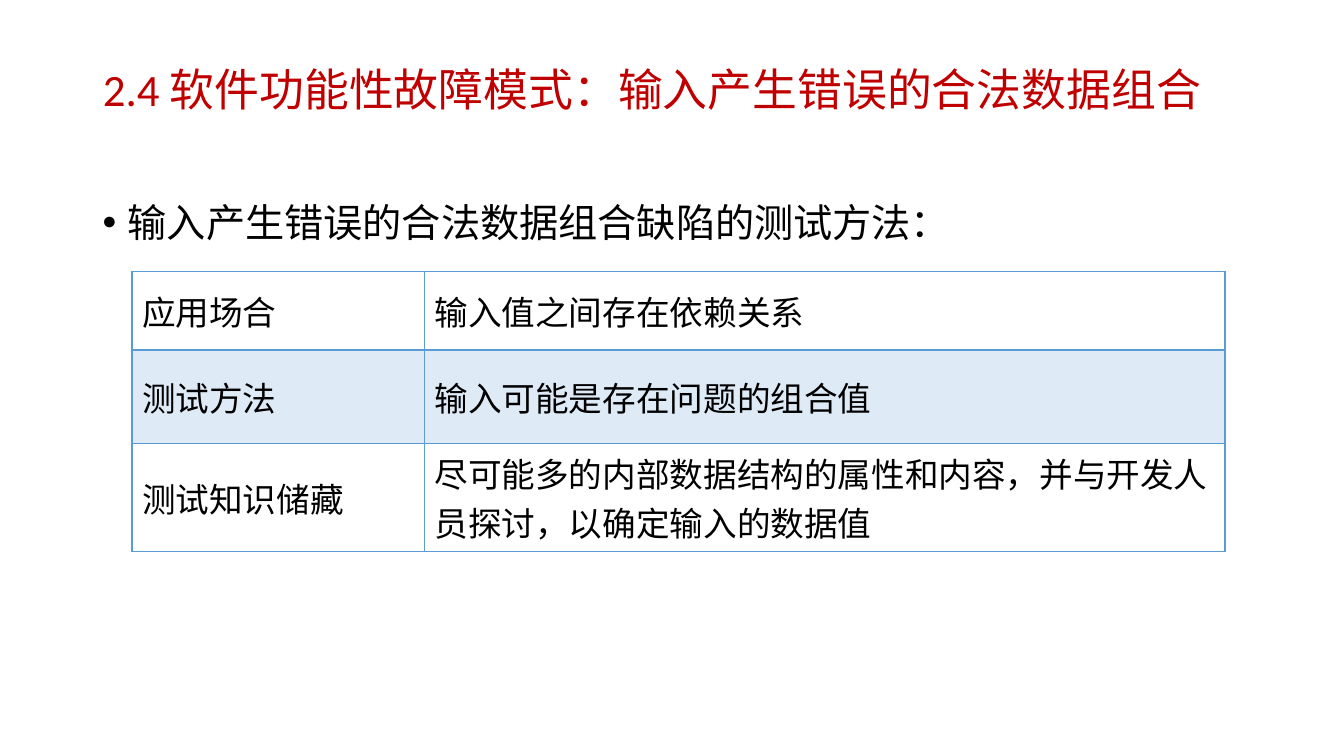
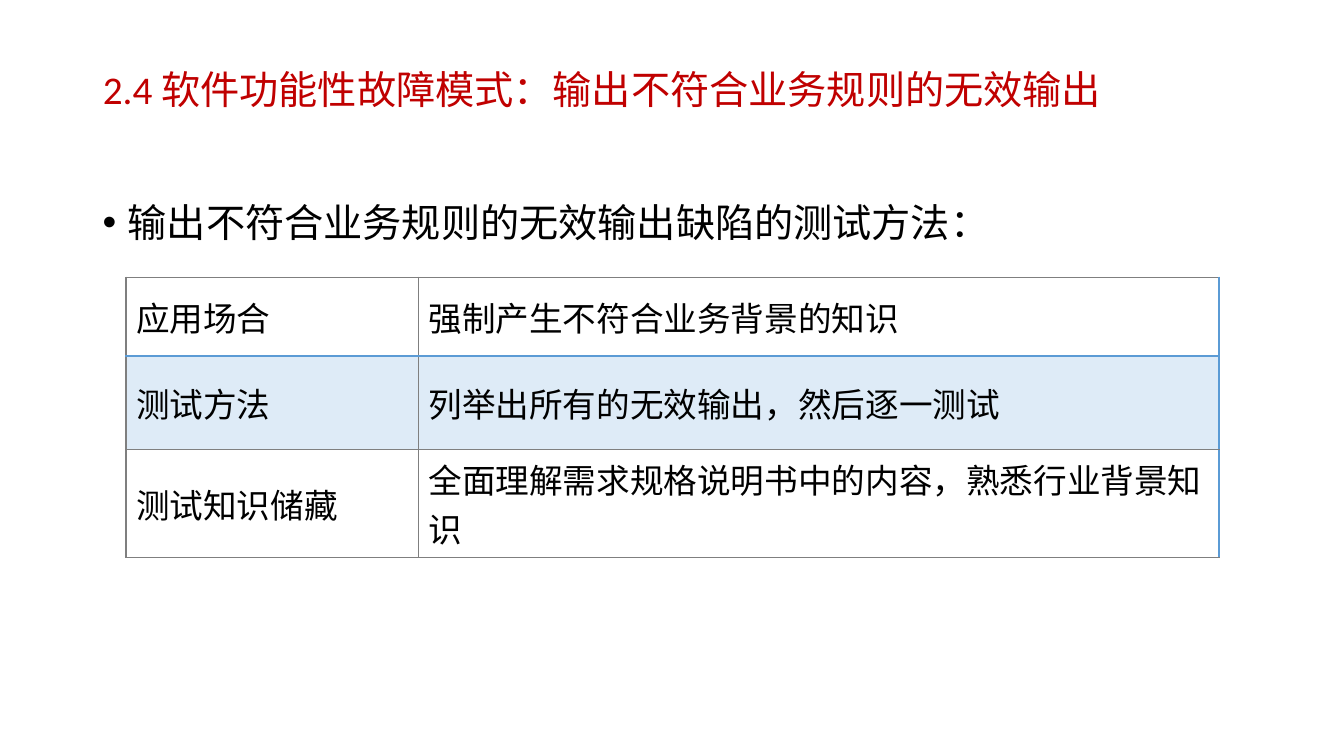
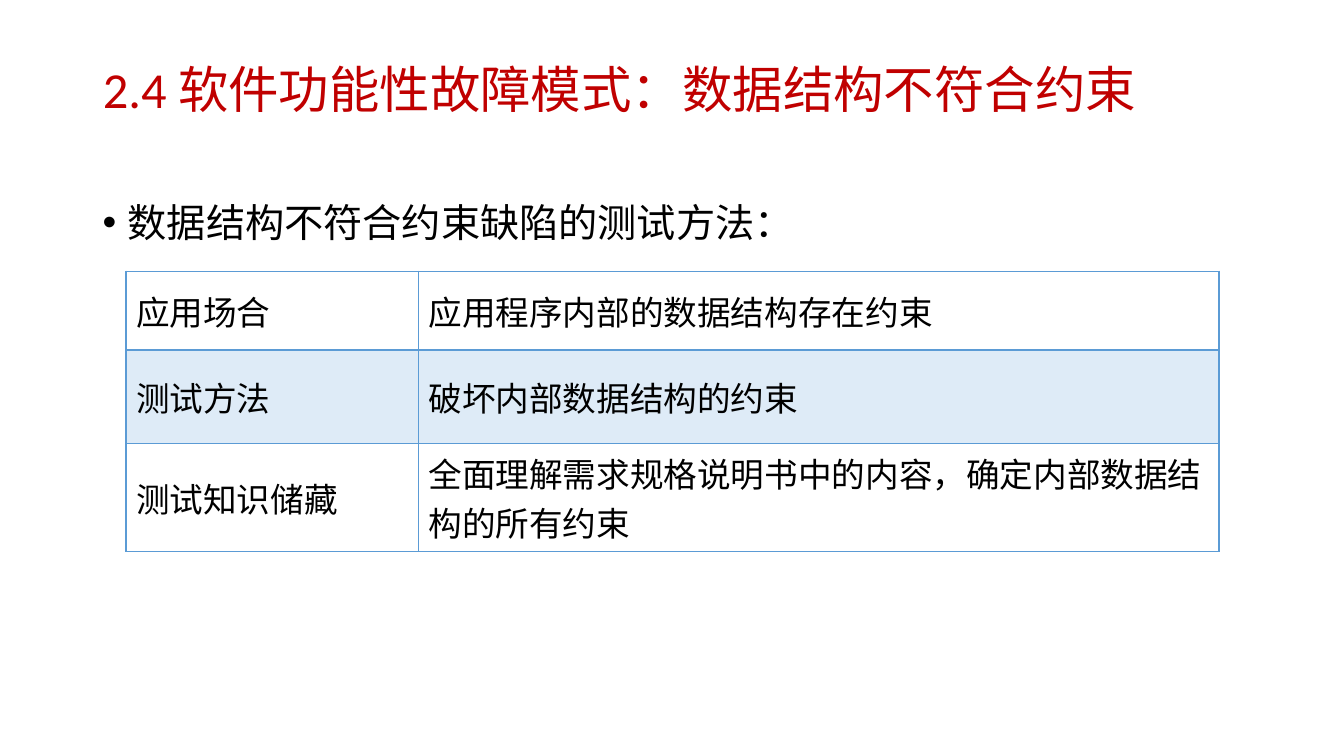
from lxml.etree import SubElement
from pptx import Presentation
from pptx.dml.color import RGBColor
from pptx.enum.text import MSO_ANCHOR as Anchor, MSO_AUTO_SIZE as AutoSize, PP_ALIGN as Align
from pptx.oxml import parse_xml
from pptx.oxml.ns import nsdecls, qn
from pptx.util import Inches, Pt

COLORS = {"title": "C00000", "text": "000000", "line": "5B9BD5",
          "gray": "7F7F7F", "band": "DEEBF7"}
CJK = "Noto Sans CJK SC"
LABELS = ["应用场合", "测试方法", "测试知识储藏"]
COLUMN_WIDTHS = [2.9, 7.94]
ROW_HEIGHTS = [0.78, 0.93, 1.07]

TOPICS = [
    {"name": "输入产生错误的合法数据组合", "title_size": 32,
     "left": 1.31, "top": 2.69, "grid": "line",
     "details": ["输入值之间存在依赖关系",
                 "输入可能是存在问题的组合值",
                 "尽可能多的内部数据结构的属性和内容，并与开发人员探讨，以确定输入的数据值"]},
    {"name": "输出不符合业务规则的无效输出", "title_size": 28,
     "left": 1.25, "top": 2.75, "grid": "gray",
     "details": ["强制产生不符合业务背景的知识",
                 "列举出所有的无效输出，然后逐一测试",
                 "全面理解需求规格说明书中的内容，熟悉行业背景知识"]},
    {"name": "数据结构不符合约束", "title_size": 36,
     "left": 1.25, "top": 2.69, "grid": "line",
     "details": ["应用程序内部的数据结构存在约束",
                 "破坏内部数据结构的约束",
                 "全面理解需求规格说明书中的内容，确定内部数据结构的所有约束"]},
]


def style_text(paragraph, size, color, latin=CJK):
    paragraph.alignment = Align.LEFT
    font = paragraph.font
    font.size = Pt(size)
    font.name = latin
    font.color.rgb = RGBColor.from_string(COLORS[color])
    defaults = paragraph._p.pPr.find(qn("a:defRPr"))
    SubElement(defaults, qn("a:ea")).set("typeface", CJK)


def set_borders(cell, borders):
    properties = cell._tc.get_or_add_tcPr()
    for position, (side, color, width) in enumerate(borders):
        properties.insert(position, parse_xml(
            f'<a:ln{side} {nsdecls("a")} w="{Pt(width)}"><a:solidFill>'
            f'<a:srgbClr val="{COLORS[color]}"/></a:solidFill></a:ln{side}>'))


prs = Presentation()
prs.slide_width = Inches(13.33)
prs.slide_height = Inches(7.5)

for topic in TOPICS:
    slide = prs.slides.add_slide(prs.slide_layouts[5])

    title = slide.shapes.title
    title.left, title.top = Inches(0.92), Inches(0.4)
    title.width, title.height = Inches(11.5), Inches(1.02)
    title.text_frame.text = f"2.4 软件功能性故障模式：{topic['name']}"
    title.text_frame.auto_size = AutoSize.NONE
    title.text_frame.vertical_anchor = Anchor.MIDDLE
    heading = title.text_frame.paragraphs[0]
    heading.line_spacing = 0.9
    style_text(heading, topic["title_size"], "title", "Calibri")

    intro = slide.shapes.add_textbox(Inches(0.92), Inches(1.68), Inches(11.5), Inches(0.9)).text_frame
    intro.word_wrap = True
    intro.margin_top = Inches(0.15)
    intro.text = f"{topic['name']}缺陷的测试方法："
    bullet = intro.paragraphs[0]
    bullet.line_spacing = 1.3
    indent = bullet._p.get_or_add_pPr()
    indent.set("marL", str(Inches(0.25)))
    indent.set("indent", str(Inches(-0.25)))
    SubElement(indent, qn("a:buFont")).set("typeface", "Arial")
    SubElement(indent, qn("a:buChar")).set("char", "•")
    style_text(bullet, 28, "text")

    methods = slide.shapes.add_table(
        len(LABELS), len(COLUMN_WIDTHS), Inches(topic["left"]), Inches(topic["top"]),
        Inches(sum(COLUMN_WIDTHS)), Inches(sum(ROW_HEIGHTS))).table
    methods.first_row = False
    methods.horz_banding = False
    for column, width in zip(methods.columns, COLUMN_WIDTHS):
        column.width = Inches(width)

    grid = topic["grid"]
    for r, entries in enumerate(zip(LABELS, topic["details"])):
        methods.rows[r].height = Inches(ROW_HEIGHTS[r])
        for c, entry in enumerate(entries):
            cell = methods.cell(r, c)
            cell.text = entry
            cell.vertical_anchor = Anchor.MIDDLE
            style_text(cell.text_frame.paragraphs[0], 24, "text")
            if r == 1:
                cell.fill.solid()
                cell.fill.fore_color.rgb = RGBColor.from_string(COLORS["band"])
            else:
                cell.fill.background()
            set_borders(cell, [
                ("L", grid, 1),
                ("R", "line" if c == 1 else grid, 1),
                ("T", "line", 2) if r == 1 else ("T", grid, 1),
                ("B", "line", 2) if r == 0 else ("B", grid, 1)])

prs.save("out.pptx")
